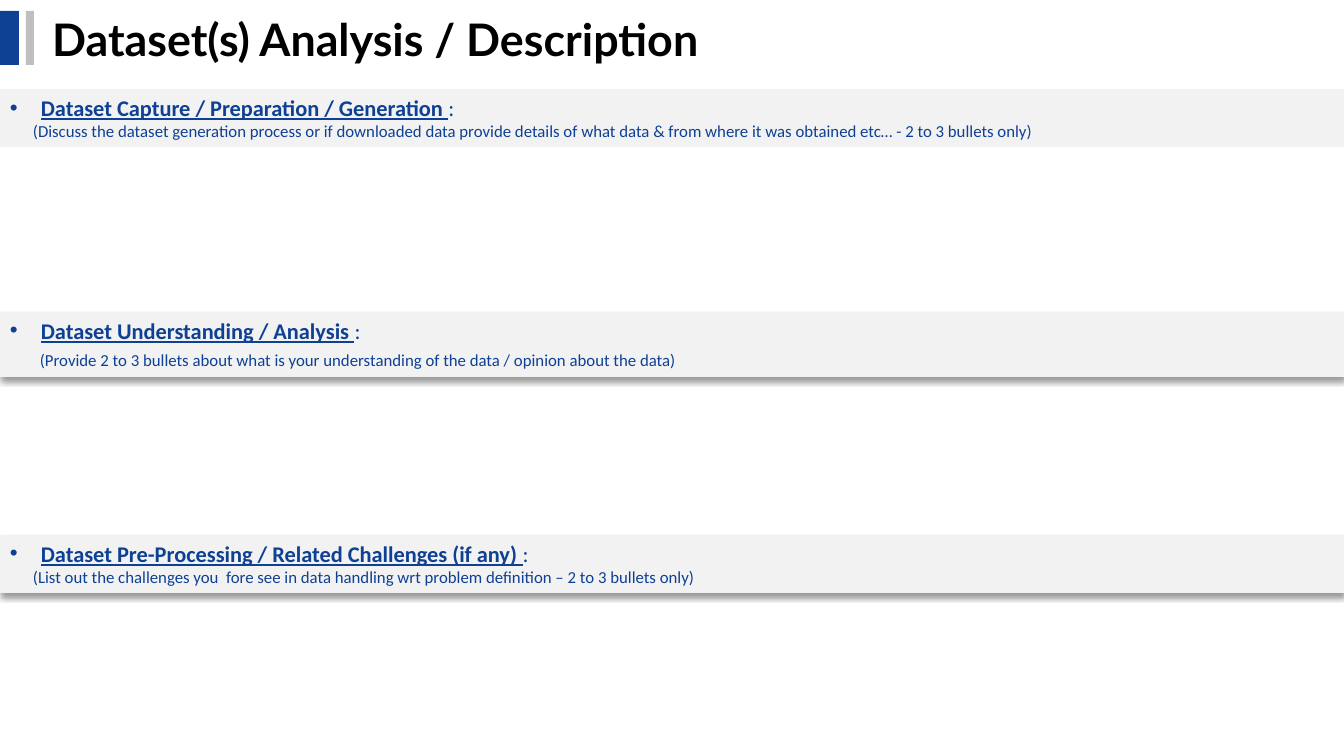
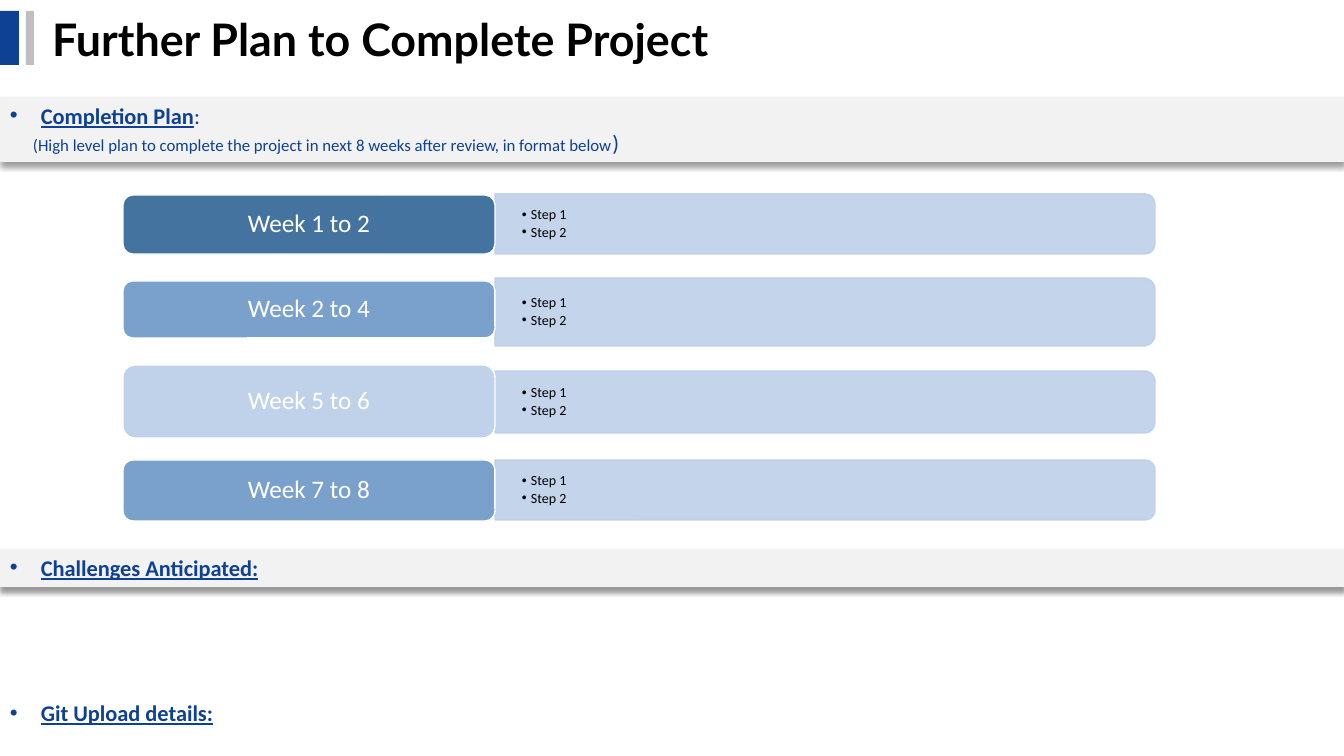
from dataclasses import dataclass
from typing import Optional

from lxml.etree import SubElement
from pptx import Presentation
from pptx.dml.color import RGBColor
from pptx.enum.shapes import MSO_SHAPE
from pptx.enum.text import MSO_ANCHOR, MSO_AUTO_SIZE, PP_ALIGN
from pptx.oxml.ns import qn
from pptx.util import Emu, Pt

SLIDE_WIDTH, SLIDE_HEIGHT = 1344, 756
EMU_PER_PX = 12192000 / SLIDE_WIDTH

BLACK = RGBColor(0x00, 0x00, 0x00)
WHITE = RGBColor(0xFF, 0xFF, 0xFF)
NAVY = RGBColor(0x0E, 0x40, 0x94)
SILVER = RGBColor(0xBF, 0xBF, 0xBF)
BAND_GREY = RGBColor(0xF2, 0xF2, 0xF2)
PANEL_BLUE = RGBColor(0xBD, 0xD0, 0xE9)
DEEP_BLUE = RGBColor(0x43, 0x73, 0x9E)
MID_BLUE = RGBColor(0x7A, 0xA1, 0xCC)
PALE_BLUE = RGBColor(0xC0, 0xD2, 0xEA)

TITLE_FORMAT = {"name": "Lato", "size": Pt(32), "bold": True}
HEADING_FORMAT = {"name": "Calibri", "size": Pt(16), "bold": True, "underline": True}
COLON_FORMAT = {"name": "Calibri", "size": Pt(16), "bold": False, "underline": False}
HINT_FORMAT = {"name": "Calibri", "size": Pt(12)}
WEEK_FORMAT = {"name": "Calibri", "size": Pt(18)}
STEP_FORMAT = {"name": "Calibri", "size": Pt(10)}

WEEK_LEFT, WEEK_WIDTH = 123, 372
PANEL_LEFT, PANEL_WIDTH = 495, 660
STEPS = ("Step 1", "Step 2")


@dataclass(frozen=True)
class Span:
    text: str
    style: dict
    color: RGBColor = NAVY


@dataclass(frozen=True)
class Band:
    """A section heading across the slide, with an optional hint line."""
    top: int
    height: int
    heading: str
    colon: bool = True
    hint: tuple[Span, ...] = ()
    hint_indent: int = 23
    hint_gap: int = 0
    width: int = SLIDE_WIDTH
    fill: Optional[RGBColor] = BAND_GREY
    shadow: bool = True


@dataclass(frozen=True)
class WeekRow:
    label: str
    color: RGBColor
    top: int
    height: int
    panel_top: int
    panel_height: int


DATASET_BANDS = (
    Band(89, 58, "Dataset Capture / Preparation / Generation ", shadow=False, hint=(
        Span("(Discuss the dataset generation process or if downloaded data provide details of "
             "what data & from where it was obtained etc… - 2 to 3 bullets only)", HINT_FORMAT),)),
    Band(312, 65, "Dataset Understanding / Analysis ", hint_indent=30, hint_gap=4, hint=(
        Span("(Provide 2 to 3 bullets about what is your understanding of the data / "
             "opinion about the data)", HINT_FORMAT),)),
    Band(535, 58, "Dataset Pre-Processing / Related Challenges (if any) ", hint=(
        Span("(List out the challenges you  fore see in data handling wrt problem definition – "
             "2 to 3 bullets only)", HINT_FORMAT),)),
)
PLAN_BANDS = (
    Band(97, 65, "Completion Plan", hint=(
        Span("(High level plan to complete the project in next 8 weeks after review, "
             "in format below", HINT_FORMAT),
        Span(")", COLON_FORMAT))),
    Band(549, 38, "Challenges Anticipated:", colon=False),
    Band(694, 58, "Git Upload details:", colon=False, width=672, fill=None, shadow=False),
)
WEEK_ROWS = (
    WeekRow("Week 1 to 2", DEEP_BLUE, 195, 59, 194, 60),
    WeekRow("Week 2 to 4", MID_BLUE, 281, 57, 278, 68),
    WeekRow("Week 5 to 6", PALE_BLUE, 365, 73, 371, 62),
    WeekRow("Week 7 to 8", MID_BLUE, 460, 61, 460, 60),
)


def px(length: int) -> Emu:
    return Emu(round(length * EMU_PER_PX))


def add_spans(para, *spans: Span) -> None:
    for span in spans:
        run = para.add_run()
        run.text = span.text
        for name, value in span.style.items():
            setattr(run.font, name, value)
        run.font.color.rgb = span.color


def set_indent(para, margin: int, first_line: int = 0, bullet: bool = False) -> None:
    properties = para._p.get_or_add_pPr()
    properties.set("marL", str(px(margin)))
    properties.set("indent", str(px(first_line)))
    if bullet:
        SubElement(properties, qn("a:buFont"), typeface="Arial")
        SubElement(properties, qn("a:buChar"), char="•")


def set_frame(frame, anchor: MSO_ANCHOR, **margins: int) -> None:
    frame.word_wrap = True
    frame.auto_size = MSO_AUTO_SIZE.NONE
    frame.vertical_anchor = anchor
    for side, length in margins.items():
        setattr(frame, f"margin_{side}", px(length))


def add_box(page, preset: MSO_SHAPE, left: int, top: int, width: int, height: int,
            fill: Optional[RGBColor], line: Optional[RGBColor] = None):
    box = page.shapes.add_shape(preset, px(left), px(top), px(width), px(height))
    box.shadow.inherit = False
    if fill is None:
        box.fill.background()
    else:
        box.fill.solid()
        box.fill.fore_color.rgb = fill
    if line is None:
        box.line.fill.background()
    else:
        box.line.color.rgb = line
        box.line.width = Pt(1)
    return box


def add_drop_shadow(box) -> None:
    effects = box._element.spPr.find(qn("a:effectLst"))
    shadow = SubElement(effects, qn("a:outerShdw"), blurRad=str(Pt(4)), dist=str(Pt(3)),
                        dir="5400000", algn="t", rotWithShape="0")
    color = SubElement(shadow, qn("a:srgbClr"), val=str(BLACK))
    SubElement(color, qn("a:alpha"), val="40000")


def set_opacity(box, percent: int) -> None:
    for color in box._element.spPr.iter(qn("a:srgbClr")):
        SubElement(color, qn("a:alpha"), val=str(percent * 1000))


def add_page(deck, title_text: str):
    """Add a slide with the shared title and its two accent bars."""
    page = deck.slides.add_slide(deck.slide_layouts[5])
    title = page.shapes.title
    place = {"left": 42, "top": 6, "width": 1036, "height": 65}
    for name, length in place.items():
        setattr(title, name, px(length))
    set_frame(title.text_frame, MSO_ANCHOR.MIDDLE)
    para = title.text_frame.paragraphs[0]
    para.alignment = PP_ALIGN.LEFT
    add_spans(para, Span(title_text, TITLE_FORMAT, BLACK))
    for left, width, color in ((0, 19, NAVY), (26, 8, SILVER)):
        add_box(page, MSO_SHAPE.RECTANGLE, left, 11, width, 54, color)
    return page


def add_band(page, band: Band) -> None:
    box = add_box(page, MSO_SHAPE.RECTANGLE, 0, band.top, band.width, band.height, band.fill)
    if band.shadow:
        add_drop_shadow(box)
    frame = box.text_frame
    set_frame(frame, MSO_ANCHOR.TOP)
    para = frame.paragraphs[0]
    para.alignment = PP_ALIGN.JUSTIFY
    set_indent(para, 31, -31, bullet=True)
    add_spans(para, Span(band.heading, HEADING_FORMAT))
    if band.colon:
        add_spans(para, Span(":", COLON_FORMAT))
    if band.hint:
        para = frame.add_paragraph()
        para.alignment = PP_ALIGN.JUSTIFY
        para.space_before = Pt(band.hint_gap)
        set_indent(para, band.hint_indent)
        add_spans(para, *band.hint)


def add_week_row(page, row: WeekRow) -> None:
    # The panel is an upright tab turned a quarter, so its sides are swapped.
    panel = add_box(page, MSO_SHAPE.ROUND_2_SAME_RECTANGLE,
                    PANEL_LEFT + (PANEL_WIDTH - row.panel_height) // 2,
                    row.panel_top + (row.panel_height - PANEL_WIDTH) // 2,
                    row.panel_height, PANEL_WIDTH, PANEL_BLUE, PANEL_BLUE)
    panel.rotation = 90
    set_opacity(panel, 90)

    steps = page.shapes.add_textbox(px(PANEL_LEFT), px(row.panel_top),
                                    px(PANEL_WIDTH), px(row.panel_height))
    frame = steps.text_frame
    set_frame(frame, MSO_ANCHOR.MIDDLE, left=27, right=27, top=0, bottom=0)
    for index, step in enumerate(STEPS):
        para = frame.add_paragraph() if index else frame.paragraphs[0]
        para.line_spacing = 0.9
        para.space_after = Pt(1.5)
        set_indent(para, 9, -9, bullet=True)
        add_spans(para, Span(step, STEP_FORMAT, BLACK))

    week = add_box(page, MSO_SHAPE.ROUNDED_RECTANGLE, WEEK_LEFT, row.top,
                   WEEK_WIDTH, row.height, row.color, WHITE)
    set_frame(week.text_frame, MSO_ANCHOR.MIDDLE)
    para = week.text_frame.paragraphs[0]
    para.alignment = PP_ALIGN.CENTER
    para.line_spacing = 0.9
    add_spans(para, Span(row.label, WEEK_FORMAT, WHITE))


def main() -> None:
    deck = Presentation()
    deck.slide_width, deck.slide_height = px(SLIDE_WIDTH), px(SLIDE_HEIGHT)

    dataset_page = add_page(deck, "Dataset(s) Analysis / Description")
    for band in DATASET_BANDS:
        add_band(dataset_page, band)

    plan_page = add_page(deck, "Further Plan to Complete Project")
    for band in PLAN_BANDS:
        add_band(plan_page, band)
    for row in WEEK_ROWS:
        add_week_row(plan_page, row)

    deck.save("out.pptx")


if __name__ == "__main__":
    main()
